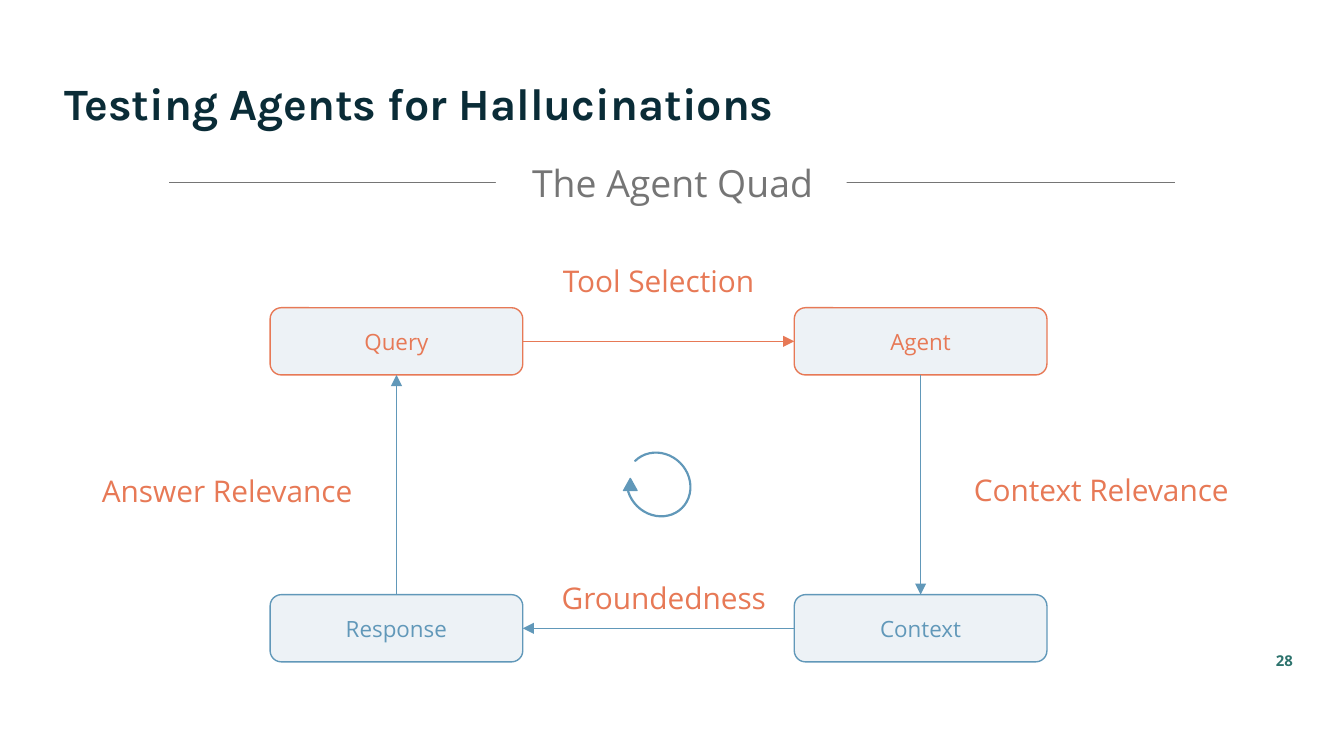
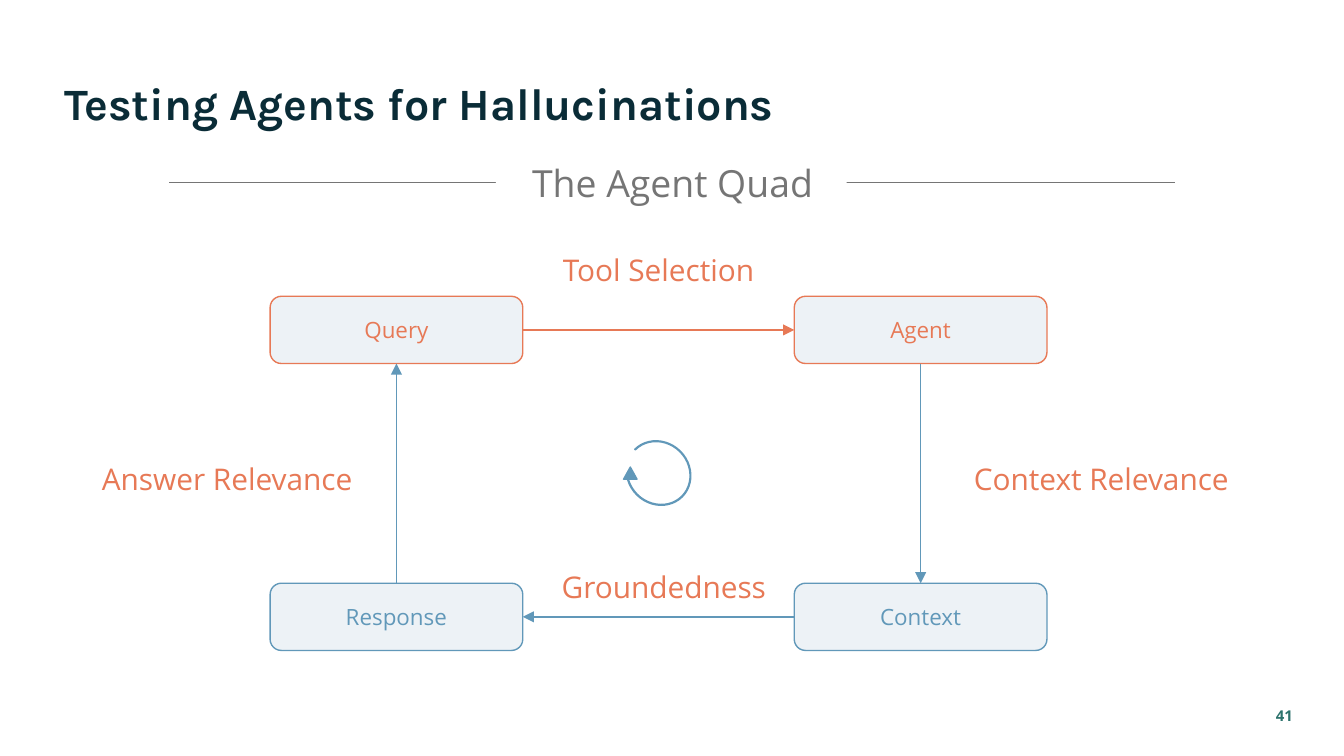
from pptx import Presentation
from pptx.dml.color import RGBColor
from pptx.enum.shapes import MSO_CONNECTOR as CONN, MSO_SHAPE as SHAPE
from pptx.enum.text import MSO_ANCHOR as ANCHOR, MSO_AUTO_SIZE as FIT, PP_ALIGN as ALIGN
from pptx.oxml.ns import qn
from pptx.util import Inches, Pt
from lxml.etree import SubElement

NAVY = RGBColor(0x0A, 0x2C, 0x37)
TEAL = RGBColor(0x2D, 0x73, 0x6D)
BLUE = RGBColor(0x61, 0x98, 0xB9)
ORANGE = RGBColor(0xE7, 0x79, 0x56)
GREY = RGBColor(0x75, 0x75, 0x75)
PALE = RGBColor(0xED, 0xF2, 0xF6)
WHITE = RGBColor(0xFF, 0xFF, 0xFF)
HEAD_FONT, BODY_FONT = "Karla", "Open Sans"
COLUMNS = 100
TOP, BOTTOM, LEFT, RIGHT = 0, 2, 1, 3
BOX_W, BOX_H = 18.8, 5
LEFT_COL, RIGHT_COL = 20.1, 59.1
ROW_STEP = 21.35


class Deck:
    def __init__(self):
        self.prs = Presentation()
        self.prs.slide_width, self.prs.slide_height = Inches(10), Inches(5.625)
        self.cell = self.prs.slide_width / COLUMNS
        self.slide = None

    def grid(self, *cells):
        return [round(c * self.cell) for c in cells]

    def new_slide(self):
        self.slide = self.prs.slides.add_slide(self.prs.slide_layouts[0])

    def place(self, sp, *area):
        sp.left, sp.top, sp.width, sp.height = self.grid(*area)

    def set_text(self, sp, text, size, color, font=BODY_FONT, bold=False,
                 align=ALIGN.CENTER, anchor=ANCHOR.TOP, spacing=1.0, fit=FIT.NONE):
        tf = sp.text_frame
        tf.text = text
        tf.word_wrap, tf.auto_size, tf.vertical_anchor = True, fit, anchor
        tf.margin_left = tf.margin_right = tf.margin_top = tf.margin_bottom = Inches(0.1)
        p = tf.paragraphs[0]
        p.alignment, p.line_spacing, p.space_before = align, spacing, Pt(0)
        f = p.runs[0].font
        f.name, f.size, f.bold = font, Pt(size), bold
        f.color.rgb = color

    def title(self, text):
        sp = self.slide.shapes.title
        self.place(sp, 3.8, 4.6, 79.9, 6.3)
        self.set_text(sp, text, 24, NAVY, HEAD_FONT, True, ALIGN.LEFT)

    def subtitle(self, text):
        self.line((12.6, 13.6), (87.4, 13.6), GREY)
        sp = self.slide.placeholders[1]
        self.place(sp, 36.9, 10.2, 26.1, 6.7)
        sp.fill.solid()
        sp.fill.fore_color.rgb = WHITE
        self.set_text(sp, text, 20, GREY, anchor=ANCHOR.MIDDLE)
        sp.text_frame.margin_left = Inches(0.12)
        self.slide.shapes._spTree.append(sp._element)

    def text(self, text, area, size, color, **style):
        sp = self.slide.shapes.add_textbox(*self.grid(*area))
        self.set_text(sp, text, size, color, **style)

    def label(self, text, x, y, w):
        self.text(text, (x, y, w, 4.7), 16, ORANGE, spacing=1.15,
                  fit=FIT.SHAPE_TO_FIT_TEXT)

    def shape(self, kind, area, fill, line, parent=None):
        sp = (parent or self.slide).shapes.add_shape(kind, *self.grid(*area))
        sp.shadow.inherit = False
        sp.fill.solid()
        sp.fill.fore_color.rgb = fill
        sp.line.color.rgb = line
        sp.line.width = Pt(0.75)
        return sp

    def box(self, text, x, y, color):
        sp = self.shape(SHAPE.ROUNDED_RECTANGLE, (x, y, BOX_W, BOX_H), PALE, color)
        self.set_text(sp, text, 12, color, anchor=ANCHOR.MIDDLE)
        return sp

    def line(self, start, end, color):
        cx = self.slide.shapes.add_connector(CONN.STRAIGHT, *self.grid(*start, *end))
        cx.line.color.rgb = color
        cx.line.width = Pt(0.75)
        SubElement(cx._element.spPr, qn("a:effectLst"))
        return cx

    def arrow(self, source, source_side, target, target_side, color):
        cx = self.line((0, 0), (1, 1), color)
        cx.begin_connect(source, source_side)
        cx.end_connect(target, target_side)
        SubElement(cx.line._get_or_add_ln(), qn("a:tailEnd"), type="triangle")

    def cycle_icon(self, x, y):
        group = self.slide.shapes.add_group_shape()
        arc = self.shape(SHAPE.BLOCK_ARC, (x, y, 5, 4.6), BLUE, BLUE, group)
        for i, value in enumerate((108, 73.04, 0.013)):
            arc.adjustments[i] = value
        arc.rotation = 45
        self.shape(SHAPE.ISOSCELES_TRIANGLE, (x - 0.1, y + 1.85, 1, 0.9), BLUE, BLUE, group)

    def agent_quad(self, top):
        query = self.box("Query", LEFT_COL, top, ORANGE)
        agent = self.box("Agent", RIGHT_COL, top, ORANGE)
        context = self.box("Context", RIGHT_COL, top + ROW_STEP, BLUE)
        response = self.box("Response", LEFT_COL, top + ROW_STEP, BLUE)
        self.arrow(query, RIGHT, agent, LEFT, ORANGE)
        self.arrow(agent, BOTTOM, context, TOP, BLUE)
        self.arrow(context, LEFT, response, RIGHT, BLUE)
        self.arrow(response, TOP, query, BOTTOM, BLUE)
        self.cycle_icon(46.5, top + 10.85)
        self.label("Tool Selection", 31.8, top - 4.75, 34.4)
        self.label("Context Relevance", 70.2, top + 10.8, 23.5)
        self.label("Groundedness", 32.2, top + 18.85, 34.4)
        self.label("Answer Relevance", 6, top + 10.85, 21.8)

    def page_number(self, number, y):
        self.text(str(number), (91.2, y, 6, 4.3), 8, TEAL, bold=True, align=ALIGN.RIGHT)


def main():
    deck = Deck()
    for number, number_row, quad_top in ((28, 47.5, 22.9), (41, 51.6, 22.05)):
        deck.new_slide()
        deck.title("Testing Agents for Hallucinations")
        deck.subtitle("The Agent Quad")
        deck.agent_quad(quad_top)
        deck.page_number(number, number_row)
    deck.prs.save("out.pptx")


if __name__ == "__main__":
    main()
